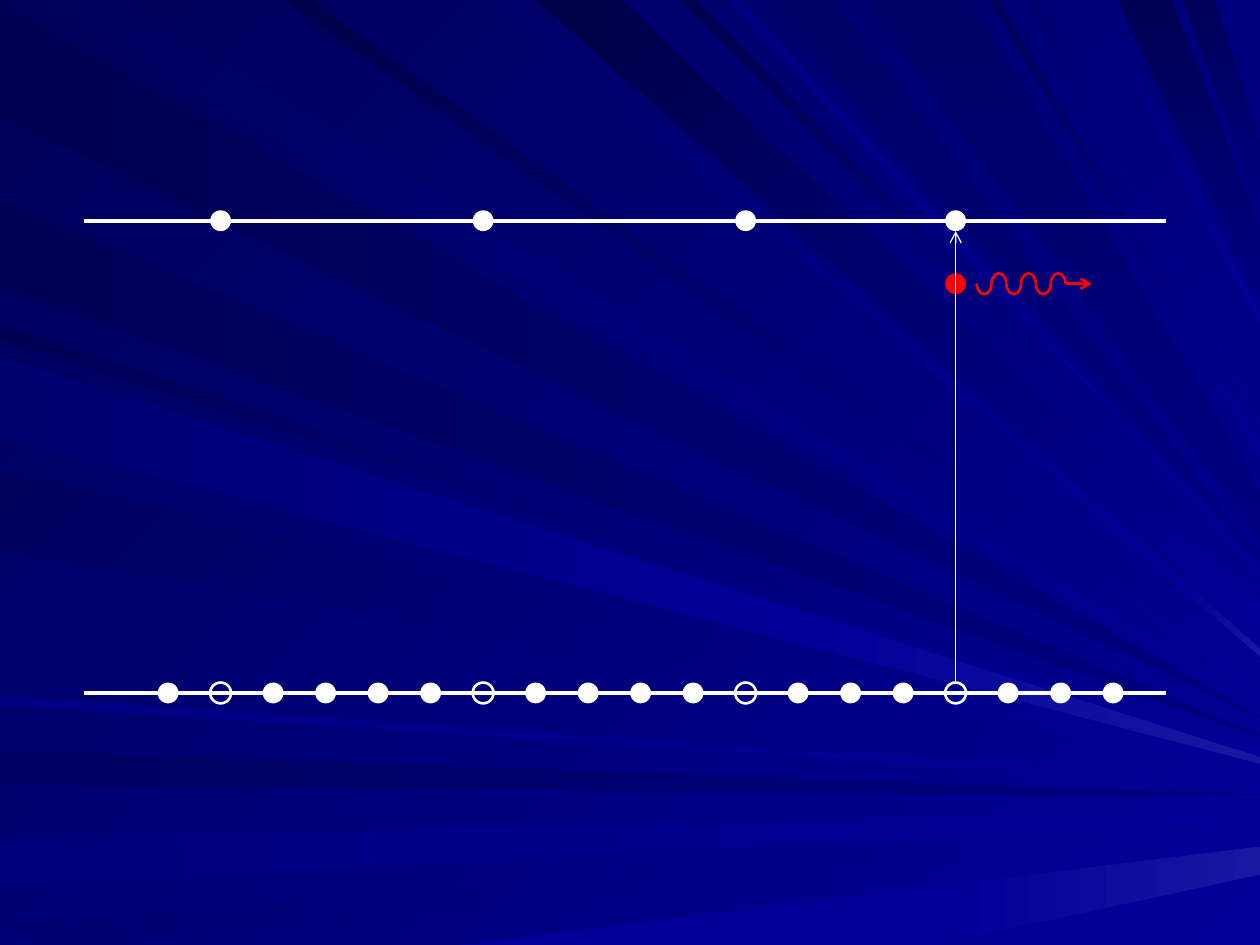
from lxml.etree import SubElement
from pptx import Presentation
from pptx.dml.color import RGBColor as RGB
from pptx.enum.shapes import MSO_CONNECTOR as CONN, MSO_SHAPE as SHAPE
from pptx.oxml.ns import qn
from pptx.util import Cm, Pt

COLORS = {"back": "000058", "light": "000099", "mid": "000080", "glow": "1717A2",
          "white": "FFFFFF", "red": "FF0000"}

# Ray styles: end colour and clockwise gradient angle
STYLES = {"across": ("light", 0), "diagonal": ("light", 45),
          "dim": ("mid", 0), "down": ("mid", 90)}

# Light rays: two border positions, two heights on the right edge, start shade,
# style, and for a glowing tail the place where it begins; in 1/100 inch.
# Border positions count from the top left corner: + along the top, - down the
# left side and on along the bottom.
RAYS = [
    (-2, -93, 569, 570, "51", "dim"),
    (101, 26, 562, 563, "5D", "diagonal"),
    (-596, -623, 631, 632, "61", "dim"),
    (-665, -704, 643, 651, "7D", "across"),
    (-735, -804, 662, 662, "6F", "across"),
    (-1114, -1492, 672, 694, "99", "across", 756),
    (-258, -270, 589, 589, "53", "diagonal"),
    (-159, -228, 584, 585, "55", "dim"),
    (416, 398, 515, 521, "6B", "diagonal", 945),
    (492, 426, 479, 507, "47", "diagonal"),
    (552, 540, 463, 463, "4F", "diagonal"),
    (661, 606, 445, 446, "65", "down"),
    (930, 887, 183, 237, "55", "down"),
    (964, 939, 114, 167, "59", "down"),
    (-278, -342, 596, 602, "61", "diagonal"),
    (-374, -437, 605, 606, "5D", "diagonal"),
    (-552, -560, 621, 623, "82", "across"),
    (247, 225, 547, 552, "4A", "diagonal"),
    (588, 577, 453, 454, "82", "diagonal"),
    (770, 686, 390, 428, "65", "down"),
    (792, 785, 354, 360, "58", "diagonal"),
    (824, 815, 335, 336, "6F", "diagonal"),
    (872, 865, 249, 258, "79", "diagonal"),
    (-283, -347, 601, 606, "6F", "across", 635),
]
RAY_UNIT, RIGHT, BOTTOM = Cm(0.0254), 1000, 750

# Energy levels and electron sites, in cm
LEVEL_X = (1.69, 23.5)
UPPER_Y, LOWER_Y, PHOTON_Y = 4.45, 13.97, 5.72
SITE_COUNT, FIRST_X, LAST_X = 19, 3.39, 22.44
EXCITED = (1, 6, 11, 15)  # sites whose electron has moved to the upper level
DOT = 0.42
WAVE_X, ARROW_X, LOBES = (19.69, 21.48), 22.01, 6


def paint(fill, start, end=None, angle=0):
    """Solid fill, or a two-colour gradient at a clockwise angle."""
    if end is None:
        fill.solid()
        fill.fore_color.rgb = RGB.from_string(start)
        return
    fill.gradient()
    fill.gradient_angle = (360 - angle) % 360
    for stop, color in zip(fill.gradient_stops, (start, end)):
        stop.color.rgb = RGB.from_string(color)


def stroke(sp, color, width):
    sp.line.color.rgb = RGB.from_string(COLORS[color])
    sp.line.width = Pt(width)


def border_point(pos):
    if pos >= 0:
        return pos, 0
    return max(0, -pos - BOTTOM), min(-pos, BOTTOM)


def point_at(edge, x):
    (x1, y1), (x2, y2) = edge
    return x, round(y1 + (y2 - y1) * (x - x1) / (x2 - x1))


def add_polygon(shapes, corners, *colors):
    builder = shapes.build_freeform(*corners[0], scale=RAY_UNIT)
    builder.add_line_segments(corners[1:], close=True)
    sp = builder.convert_to_shape()
    sp.shadow.inherit = False
    paint(sp.fill, *colors)
    sp.line.fill.background()


def add_ray(shapes, pos1, pos2, tip1, tip2, shade, style, tail_x=None):
    upper = (border_point(pos1), (RIGHT, tip1))
    lower = (border_point(pos2), (RIGHT, tip2))
    end, angle = STYLES[style]
    ends = [point_at(edge, tail_x or RIGHT) for edge in (upper, lower)]
    add_polygon(shapes, [upper[0], *ends, lower[0]], "0000" + shade, COLORS[end], angle)
    if tail_x:
        add_polygon(shapes, [ends[0], upper[1], lower[1], ends[1]],
                    COLORS[end], COLORS["glow"], angle)


def add_round(shapes, kind, x, y, w, h, fill=None, line=None):
    """Ellipse or arc centred on x, y."""
    sp = shapes.add_shape(kind, Cm(x - w / 2), Cm(y - h / 2), Cm(w), Cm(h))
    sp.shadow.inherit = False
    if fill:
        paint(sp.fill, COLORS[fill])
    else:
        sp.fill.background()
    if line:
        stroke(sp, line, 1.5)
    else:
        sp.line.fill.background()
    return sp


def add_dot(shapes, x, y, **style):
    return add_round(shapes, SHAPE.OVAL, x, y, DOT, DOT, **style)


def add_line(shapes, x1, y1, x2, y2, color, width, arrow=False):
    c = shapes.add_connector(CONN.STRAIGHT, Cm(x1), Cm(y1), Cm(x2), Cm(y2))
    stroke(c, color, width)
    sp_pr = c._element.spPr
    if arrow:
        SubElement(sp_pr.find(qn("a:ln")), qn("a:tailEnd"), type="arrow")
    SubElement(sp_pr, qn("a:effectLst"))


def add_photon(shapes, x):
    add_dot(shapes, x, PHOTON_Y, fill="red")
    lobe = (WAVE_X[1] - WAVE_X[0]) / LOBES
    for i in range(LOBES):
        arc = add_round(shapes, SHAPE.ARC, WAVE_X[0] + (i + 0.5) * lobe, PHOTON_Y,
                        lobe, DOT, line="red")
        # 108 is a half turn: troughs sweep 0 to 180 degrees, crests 180 to 0
        arc.adjustments[0], arc.adjustments[1] = (108, 0) if i % 2 else (0, 108)
    add_line(shapes, WAVE_X[1], PHOTON_Y, ARROW_X, PHOTON_Y, "red", 1.5, arrow=True)


def main():
    prs = Presentation()
    prs.slide_width, prs.slide_height = Cm(25.4), Cm(19.05)
    s = prs.slides.add_slide(prs.slide_layouts[6])
    paint(s.background.fill, COLORS["back"], COLORS["light"], 45)

    rays = s.shapes.add_group_shape().shapes
    for ray in RAYS:
        add_ray(rays, *ray)

    for y in (UPPER_Y, LOWER_Y):
        add_line(s.shapes, LEVEL_X[0], y, LEVEL_X[1], y, "white", 2.25)

    step = (LAST_X - FIRST_X) / (SITE_COUNT - 1)
    sites = [FIRST_X + i * step for i in range(SITE_COUNT)]
    for i, x in enumerate(sites):
        if i in EXCITED:
            add_dot(s.shapes, x, UPPER_Y, fill="white")
            add_dot(s.shapes, x, LOWER_Y, line="white")
        else:
            add_dot(s.shapes, x, LOWER_Y, fill="white")

    jump_x = sites[EXCITED[-1]]
    add_photon(s.shapes.add_group_shape().shapes, jump_x)
    add_line(s.shapes, jump_x, LOWER_Y - DOT / 2, jump_x, UPPER_Y + DOT / 2,
             "white", 0.75, arrow=True)
    prs.save("out.pptx")


if __name__ == "__main__":
    main()
